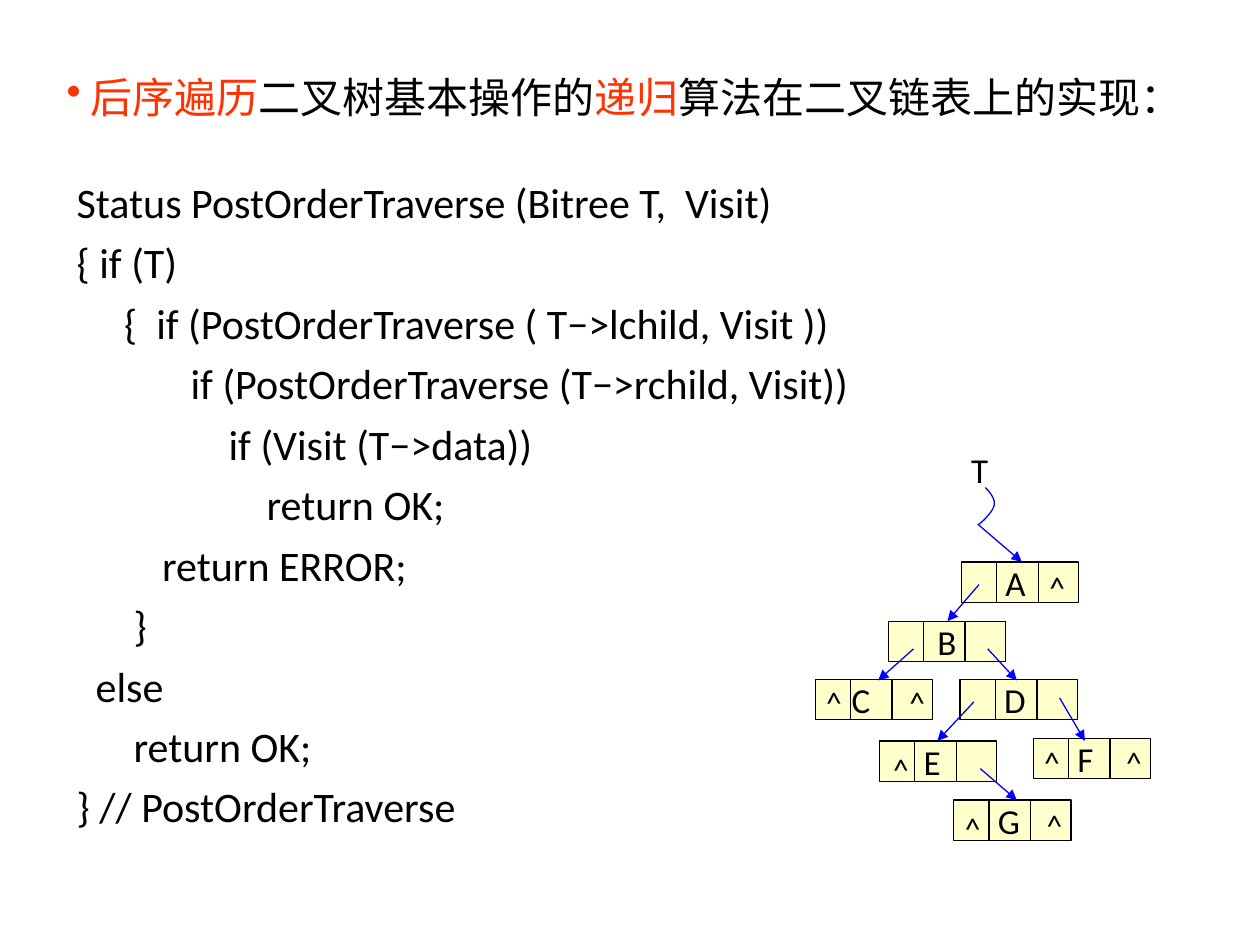
from lxml.etree import SubElement
from pptx import Presentation
from pptx.dml.color import RGBColor
from pptx.enum.shapes import MSO_CONNECTOR, MSO_SHAPE
from pptx.enum.text import MSO_ANCHOR, PP_ALIGN
from pptx.oxml.ns import qn
from pptx.util import Inches, Pt

BLACK = RGBColor(0, 0, 0)
RED = RGBColor(0xFF, 0x33, 0)
BLUE = RGBColor(0, 0, 0xFF)
CREAM = RGBColor(0xFF, 0xFF, 0xCC)
FONT = "Calibri"

# Content
TITLE = [("后序遍历", RED), ("二叉树基本操作的", BLACK), ("递归", RED),
         ("算法在二叉链表上的实现：", BLACK)]
CODE = """Status PostOrderTraverse (Bitree T,  Visit)
{ if (T)
     {  if (PostOrderTraverse ( T−>lchild, Visit ))
            if (PostOrderTraverse (T−>rchild, Visit))
                if (Visit (T−>data))
                    return OK;
         return ERROR;
      }
  else
      return OK;
} // PostOrderTraverse"""

# Node: letter, left, top, letter inset, offsets of its null marks
NODES = [
    ("A", 7.63, 4.46, 0.35, [(0.56, -0.05)]),
    ("B", 7.05, 4.93, 0.39, []),
    ("C", 6.47, 5.39, 0.29, [(-0.05, -0.07), (0.61, -0.07)]),
    ("D", 7.62, 5.39, 0.35, []),
    ("E", 6.98, 5.88, 0.35, [(-0.03, -0.03)]),
    ("F", 8.2, 5.86, 0.35, [(-0.05, -0.06), (0.6, -0.06)]),
    ("G", 7.57, 6.35, 0.35, [(-0.05, -0.03), (0.6, -0.05)]),
]
NODE_W, NODE_H = 0.93, 0.32
DIVIDERS = (0.28, 0.61)

# Child pointers, then the last leg of the root pointer
POINTERS = [
    ((7.77, 4.64), (7.52, 4.93)), ((7.25, 5.15), (6.97, 5.4)),
    ((7.84, 5.15), (8.07, 5.4)), ((7.73, 5.57), (7.44, 5.88)),
    ((8.41, 5.54), (8.61, 5.88)), ((7.78, 6.1), (8.07, 6.35)),
    ((7.76, 4.16), (8.11, 4.46)),
]
ROOT_CURVE = [
    ((7.82, 3.87), (7.86, 3.91), (7.9, 3.96), (7.89, 4.01)),
    ((7.89, 4.01), (7.88, 4.06), (7.8, 4.14), (7.77, 4.16)),
]
CURVE_STEPS = 10

prs = Presentation()
prs.slide_width, prs.slide_height = Inches(10), Inches(7.5)
slide = prs.slides.add_slide(prs.slide_layouts[6])
shapes = slide.shapes


def style(font, size, color=BLACK):
    font.name, font.size = FONT, Pt(size)
    font.color.rgb = color


def add_text(text, left, top, width, height, size, wrap=True):
    box = shapes.add_textbox(*map(Inches, (left, top, width, height)))
    frame = box.text_frame
    frame.word_wrap = wrap
    frame.text = text
    for paragraph in frame.paragraphs:
        for run in paragraph.runs:
            style(run.font, size)
    return frame


def add_line(start, end, color, arrow=False):
    line = shapes.add_connector(MSO_CONNECTOR.STRAIGHT, *map(Inches, start + end))
    line.line.color.rgb, line.line.width = color, Pt(0.75)
    if arrow:
        SubElement(line.line._get_or_add_ln(), qn("a:tailEnd"), type="triangle")
    SubElement(line._element.spPr, qn("a:effectLst"))


def add_node(letter, left, top, inset):
    node = shapes.add_shape(MSO_SHAPE.RECTANGLE,
                            *map(Inches, (left, top, NODE_W, NODE_H)))
    node.shadow.inherit = False
    node.fill.solid()
    node.fill.fore_color.rgb = CREAM
    node.line.color.rgb, node.line.width = BLACK, Pt(0.75)
    frame = node.text_frame
    frame.margin_left = Inches(inset)
    frame.margin_right = frame.margin_top = frame.margin_bottom = 0
    frame.vertical_anchor = MSO_ANCHOR.MIDDLE
    frame.text = letter
    frame.paragraphs[0].alignment = PP_ALIGN.LEFT
    style(frame.paragraphs[0].runs[0].font, 20)
    for offset in DIVIDERS:
        x = left + offset
        add_line((x, top), (x, top + NODE_H), BLACK)


def bezier(points, t):
    weights = ((1 - t) ** 3, 3 * t * (1 - t) ** 2, 3 * t * t * (1 - t), t ** 3)
    return tuple(Inches(sum(w * p[axis] for w, p in zip(weights, points)))
                 for axis in (0, 1))


# Title with bullet
title = add_text("", 0.43, 0.52, 9.27, 0.5, 24).paragraphs[0]
title_props = title._p.get_or_add_pPr()
title_props.set("marL", str(Inches(0.19)))
title_props.set("indent", str(-Inches(0.19)))
SubElement(title_props, qn("a:buChar"), char="•")
for phrase, color in TITLE:
    run = title.add_run()
    run.text = phrase
    style(run.font, 24, color)

# Code listing
for code_line in add_text(CODE, 0.51, 1.27, 6.49, 5.4, 24).paragraphs:
    code_line.line_spacing = 1.2

# Tree nodes, then pointers above them
for letter, left, top, inset, _ in NODES:
    add_node(letter, left, top, inset)
for start, end in POINTERS:
    add_line(start, end, BLUE, arrow=True)

# Curved part of the root pointer
curve_points = [bezier(part, step / CURVE_STEPS)
                for part in ROOT_CURVE for step in range(CURVE_STEPS + 1)]
builder = shapes.build_freeform(*curve_points[0])
builder.add_line_segments(curve_points[1:], close=False)
curve = builder.convert_to_shape()
curve.shadow.inherit = False
curve.fill.background()
curve.line.color.rgb, curve.line.width = BLUE, Pt(0.75)

# Null marks and root label
for _, left, top, _, marks in NODES:
    for dx, dy in marks:
        mark = add_text("^", left + dx, top + dy, 0.4, 0.5, 18, wrap=False)
        mark.vertical_anchor = MSO_ANCHOR.MIDDLE
        mark.paragraphs[0].alignment = PP_ALIGN.CENTER
add_text("T", 7.61, 3.51, 0.46, 0.43, 20)

prs.save("out.pptx")
